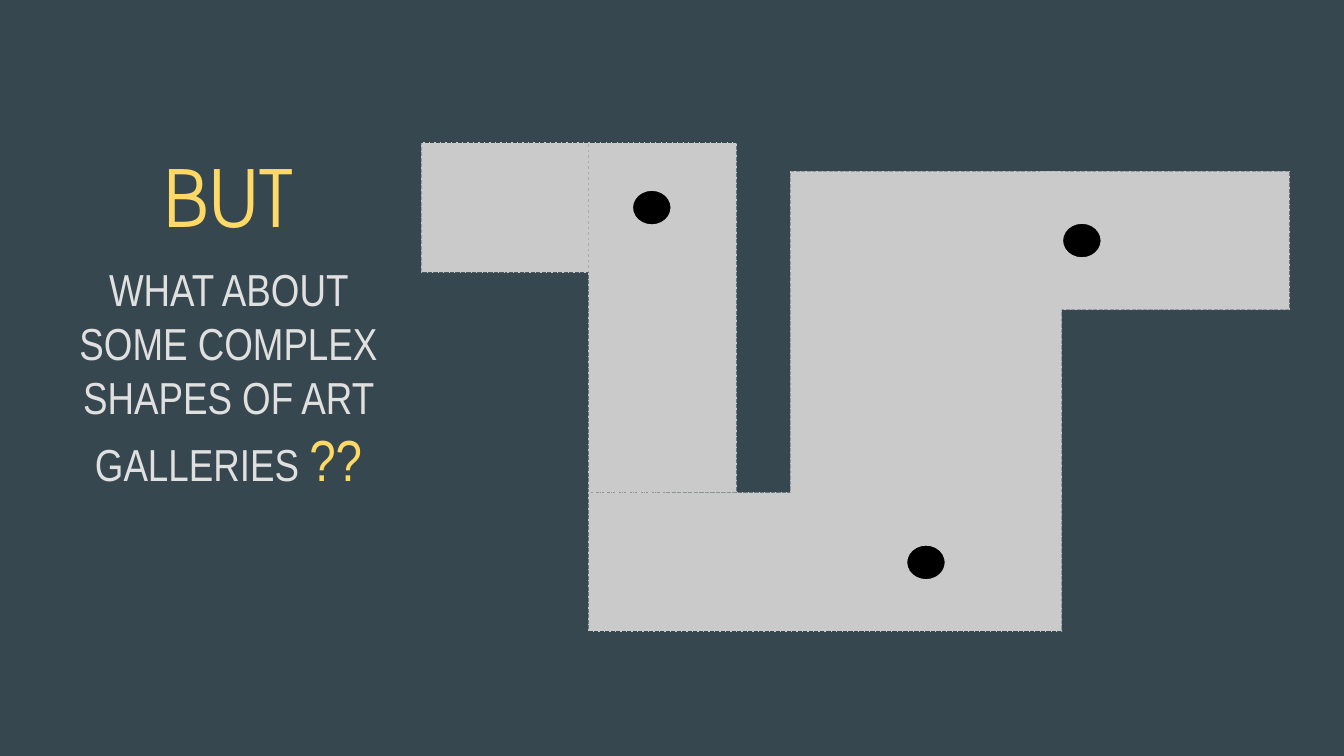
from pptx import Presentation
from pptx.dml.color import RGBColor
from pptx.enum.dml import MSO_LINE
from pptx.enum.shapes import MSO_SHAPE
from pptx.enum.text import MSO_ANCHOR, MSO_AUTO_SIZE, PP_ALIGN
from pptx.oxml.ns import qn
from pptx.util import Emu, Pt

SLATE = RGBColor(0x37, 0x47, 0x4F)
GREY = RGBColor(0xCA, 0xCA, 0xCA)
BLACK = RGBColor(0, 0, 0)
GOLD = RGBColor(0xFF, 0xD9, 0x66)
PALE = RGBColor(0xE0, 0xE0, 0xE0)
PX = 4572


def scale(*sizes):
    return [Emu(size * PX) for size in sizes]


class Painter:
    title_font = "TeX Gyre Adventor"
    body_font = "Arial Narrow"

    def __init__(self, deck):
        self.slide = deck.slides.add_slide(deck.slide_layouts[6])
        fill = self.slide.background.fill
        fill.solid()
        fill.fore_color.rgb = SLATE

    def shape(self, kind, box, color, width):
        shape = self.slide.shapes.add_shape(kind, *scale(*box))
        shape.shadow.inherit = False
        shape.fill.solid()
        shape.fill.fore_color.rgb = color
        shape.line.color.rgb = GREY
        shape.line.width = Pt(width)
        return shape

    def room(self, *box):
        room = self.shape(MSO_SHAPE.RECTANGLE, box, GREY, 0.75)
        room.line.dash_style = MSO_LINE.ROUND_DOT
        for dash in room.element.iter(qn("a:prstDash")):
            dash.set("val", "dot")

    def guard(self, left, top):
        box = (left, top, 60, 54)
        self.shape(MSO_SHAPE.FLOWCHART_CONNECTOR, box, BLACK, 1.5)

    def text(self, *box):
        frame = self.slide.shapes.add_textbox(*scale(*box)).text_frame
        frame.word_wrap = True
        frame.auto_size = MSO_AUTO_SIZE.SHAPE_TO_FIT_TEXT
        frame.vertical_anchor = MSO_ANCHOR.TOP
        frame.margin_left, frame.margin_right = scale(20, 20)
        frame.margin_top, frame.margin_bottom = scale(20, 20)
        return frame

    def line(self, par, font, *runs):
        par.alignment = PP_ALIGN.CENTER
        par.font.name = font
        for words, size, color in runs:
            run = par.add_run()
            run.text = words
            run.font.size = Pt(size)
            run.font.color.rgb = color


def main():
    deck = Presentation()
    deck.slide_width, deck.slide_height = scale(2000, 1125)
    art = Painter(deck)

    rooms = [
        (627, 213, 249, 192),
        (876, 213, 220, 520),
        (876, 733, 704, 206),
        (1176, 255, 404, 480),
        (1548, 255, 371, 206),
    ]
    for room in rooms:
        art.room(*room)
    for spot in [(1348, 810), (1580, 331), (940, 282)]:
        art.guard(*spot)

    frame = art.text(82, 202, 516, 556)
    art.line(frame.paragraphs[0], art.title_font, ("BUT", 42, GOLD))
    body = frame.add_paragraph()
    body.space_before = body.space_after = Pt(10)
    art.line(
        body,
        art.body_font,
        ("WHAT ABOUT SOME COMPLEX SHAPES OF ART GALLERIES ", 24, PALE),
        ("??", 31, GOLD),
    )
    deck.save("out.pptx")


if __name__ == "__main__":
    main()
